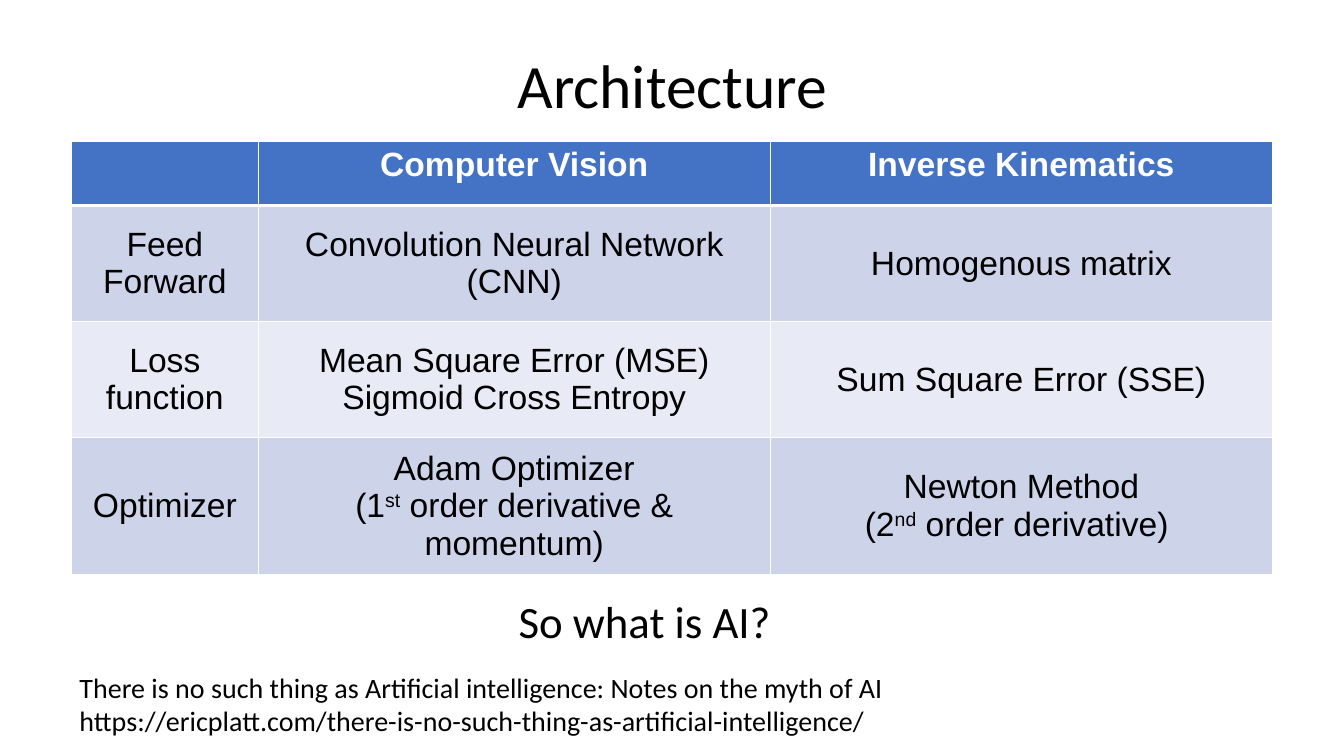
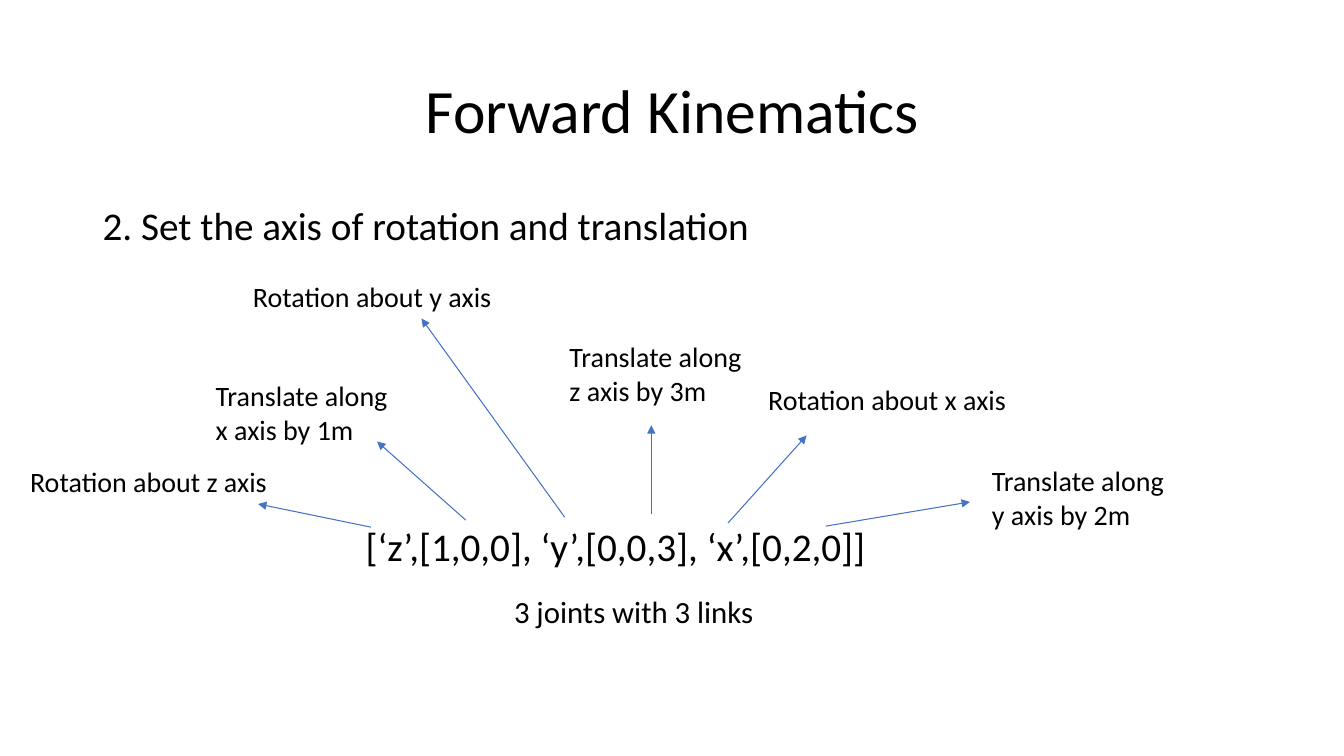
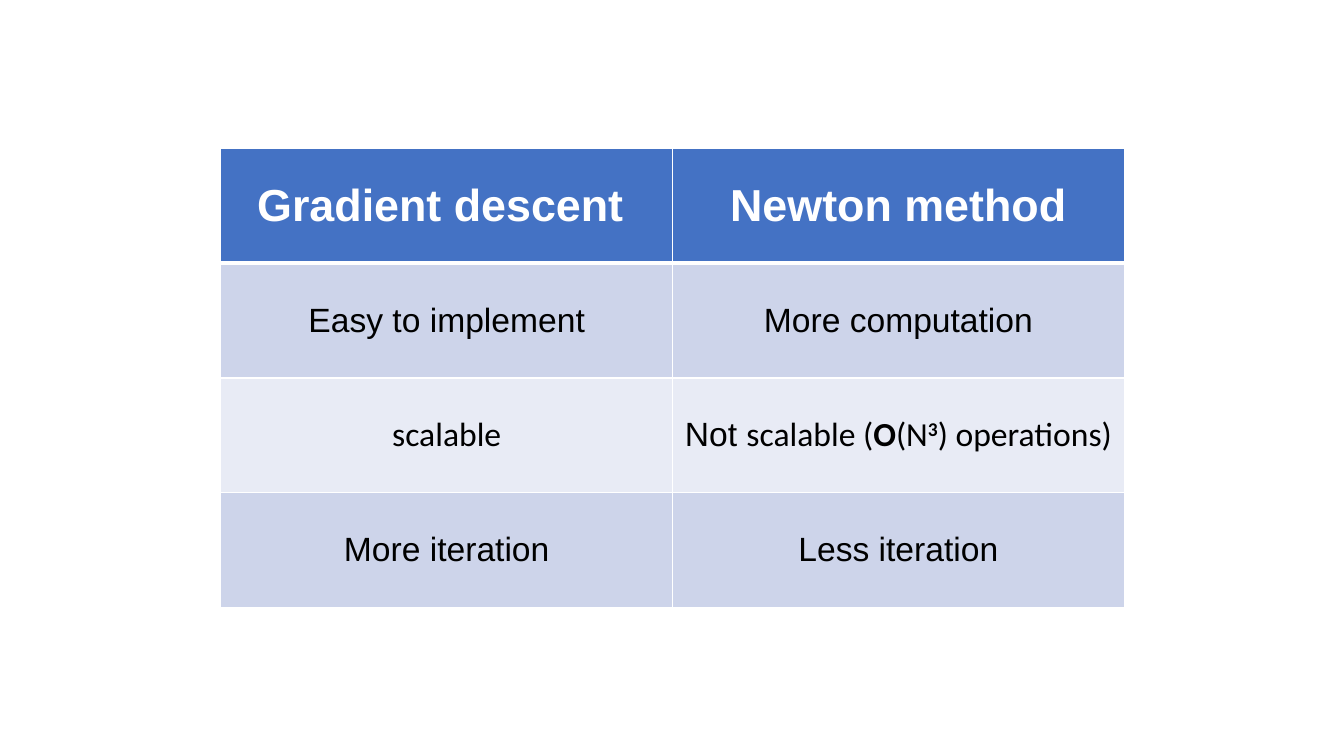
from lxml import etree
from pptx import Presentation
from pptx.dml.color import RGBColor
from pptx.enum import shapes, text
from pptx.oxml import ns
from pptx.util import Inches, Pt

BLACK, WHITE, BLUE = "000000", "FFFFFF", "4472C4"
BANDS = ["CDD4EA", "E8EBF5"]
CENTER, LEFT = text.PP_ALIGN.CENTER, text.PP_ALIGN.LEFT
MIDDLE, TOP = text.MSO_ANCHOR.MIDDLE, text.MSO_ANCHOR.TOP
TITLE = {"size": 44, "align": CENTER, "anchor": MIDDLE, "spacing": 0.9}
SUPER = {"baseline": 30000}


def write(frame, paras, size, name="Calibri", colour=BLACK, bold=False, align=LEFT, spacing=1.0):
    """Each paragraph is a string or a list of (text, format changes) pairs."""
    for number, spans in enumerate(paras):
        para = frame.paragraphs[0] if number == 0 else frame.add_paragraph()
        para.alignment, para.line_spacing = align, spacing
        for words, changes in [(spans, {})] if isinstance(spans, str) else spans:
            span = para.add_run()
            span.text = words
            span.font.color.rgb = RGBColor.from_string(colour)
            changes = {"size": Pt(size), "name": name, "bold": bold} | changes
            for key, value in changes.items():
                if key == "baseline":
                    span.font._element.set(key, str(value))
                else:
                    setattr(span.font, key, value)


def add_text(page, paras, left, top, width, height, anchor=TOP, **style):
    box = page.shapes.add_textbox(Inches(left), Inches(top), Inches(width), Inches(height))
    box.text_frame.word_wrap = True
    box.text_frame.vertical_anchor = anchor
    write(box.text_frame, paras, **style)
    return box


deck = Presentation()
deck.slide_width, deck.slide_height = Inches(13.33), Inches(7.5)
architecture, kinematics, comparison = [deck.slides.add_slide(deck.slide_layouts[6]) for _ in range(3)]

# Titles and text around the tables and the diagram
add_text(architecture, ["Architecture"], 0.92, 0.15, 11.5, 1.45, **TITLE)
add_text(architecture, ["So what is AI?"], 5.03, 5.84, 2.73, 0.64, size=32, align=CENTER)
reference = add_text(architecture, [
    "There is no such thing as Artificial intelligence: Notes on the myth of AI",
    "https://ericplatt.com/there-is-no-such-thing-as-artificial-intelligence/",
], 0.69, 6.55, 9.23, 0.87, size=20)
reference.text_frame.margin_top = reference.text_frame.margin_bottom = Inches(0.1)

add_text(kinematics, ["Forward Kinematics"], 0.92, 0.4, 11.5, 1.45, **TITLE)
add_text(kinematics, ["2. Set the axis of rotation and translation"], 0.92, 2, 11.5, 4.76,
         size=28, spacing=0.9)
add_text(kinematics, [" [‘z’,[1,0,0], ‘y’,[0,0,3], ‘x’,[0,2,0]]"], 3.44, 5.13, 7.51, 0.57, size=28)
add_text(kinematics, ["3 joints with 3 links"], 5, 5.83, 2.66, 0.47, size=22)

# Callouts: label, left, top, arrow start, arrow end
callouts = [
    ("Rotation about z axis", 0.2, 4.56, (3.68, 5.23), (2.56, 5)),
    ("Translate along x axis by 1m", 2.04, 3.71, (4.62, 5.16), (3.74, 4.38)),
    ("Rotation about y axis", 2.41, 2.72, (5.6, 5.13), (4.18, 3.16)),
    ("Translate along z axis by 3m", 5.55, 3.32, (6.46, 5.1), (6.46, 4.22)),
    ("Rotation about x axis", 7.52, 3.75, (7.22, 5.19), (8, 4.32)),
    ("Translate along y axis by 2m", 9.74, 4.55, (8.19, 5.22), (9.62, 4.98)),
]
for label, left, top, start, end in callouts:
    width, height = (2.66, 0.44) if label.startswith("Rotation") else (1.93, 0.77)
    add_text(kinematics, [label], left, top, width, height, size=20)
    arrow = kinematics.shapes.add_connector(
        shapes.MSO_CONNECTOR.STRAIGHT, *[Inches(value) for value in start + end])
    arrow.line.color.rgb = RGBColor.from_string(BLUE)
    arrow.line.width = Pt(0.75)
    etree.SubElement(arrow.line._get_or_add_ln(), ns.qn("a:tailEnd"), type="triangle")
    etree.SubElement(arrow._element.spPr, ns.qn("a:effectLst"))

# Tables: each cell is a list of paragraphs
architecture_rows = [
    [[], ["Computer Vision"], ["Inverse Kinematics"]],
    [["Feed Forward"], ["Convolution Neural Network (CNN)"], ["Homogenous matrix"]],
    [["Loss function"], ["Mean Square Error (MSE)", "Sigmoid Cross Entropy"],
     ["Sum Square Error (SSE)"]],
    [["Optimizer"],
     ["Adam Optimizer", [("(1", {}), ("st", SUPER), (" order derivative & momentum)", {})]],
     ["Newton Method", [("(2", {}), ("nd", SUPER), (" order derivative) ", {})]]],
]
calibri = {"name": "Calibri"}
strong = calibri | {"bold": True}
comparison_rows = [
    [["Gradient descent "], ["Newton method"]],
    [["Easy to implement"], ["More computation"]],
    [[[("scalable", calibri)]],
     [[("Not ", {}), ("scalable (", calibri), ("O", strong), ("(N", calibri),
       ("3", strong | SUPER), (") operations)", calibri)]]],
    [["More iteration"], ["Less iteration"]],
]
tables = [
    (architecture, 0.71, 1.4, [1.85, 5.08, 4.98], [0.64, 1.15, 1.15, 1.36], 24, TOP, architecture_rows),
    (comparison, 2.19, 1.47, [4.48] * 2, [1.14] * 4, 32, MIDDLE, comparison_rows),
]
for page, left, top, widths, heights, header_size, header_anchor, rows in tables:
    table = page.shapes.add_table(
        len(rows), len(widths), Inches(left), Inches(top),
        Inches(sum(widths)), Inches(sum(heights))).table
    table.horz_banding = False
    for column, width in zip(table.columns, widths):
        column.width = Inches(width)
    for r, row in enumerate(rows):
        table.rows[r].height = Inches(heights[r])
        header = r == 0
        style = {"size": header_size if header else 24, "bold": header,
                 "colour": WHITE if header else BLACK}
        for c, paras in enumerate(row):
            cell = table.cell(r, c)
            cell.vertical_anchor = header_anchor if header else MIDDLE
            write(cell.text_frame, paras, name="Arial", align=CENTER, **style)
            for side in "LRTB":
                under_header = (r, side) in [(0, "B"), (1, "T")]
                border = etree.SubElement(cell._tc.get_or_add_tcPr(), ns.qn(f"a:ln{side}"),
                                          w=str(Pt(3 if under_header else 1)))
                paint = etree.SubElement(border, ns.qn("a:solidFill"))
                etree.SubElement(paint, ns.qn("a:srgbClr"), val=WHITE)
            cell.fill.solid()
            cell.fill.fore_color.rgb = RGBColor.from_string(BLUE if header else BANDS[(r - 1) % 2])

deck.save("out.pptx")
